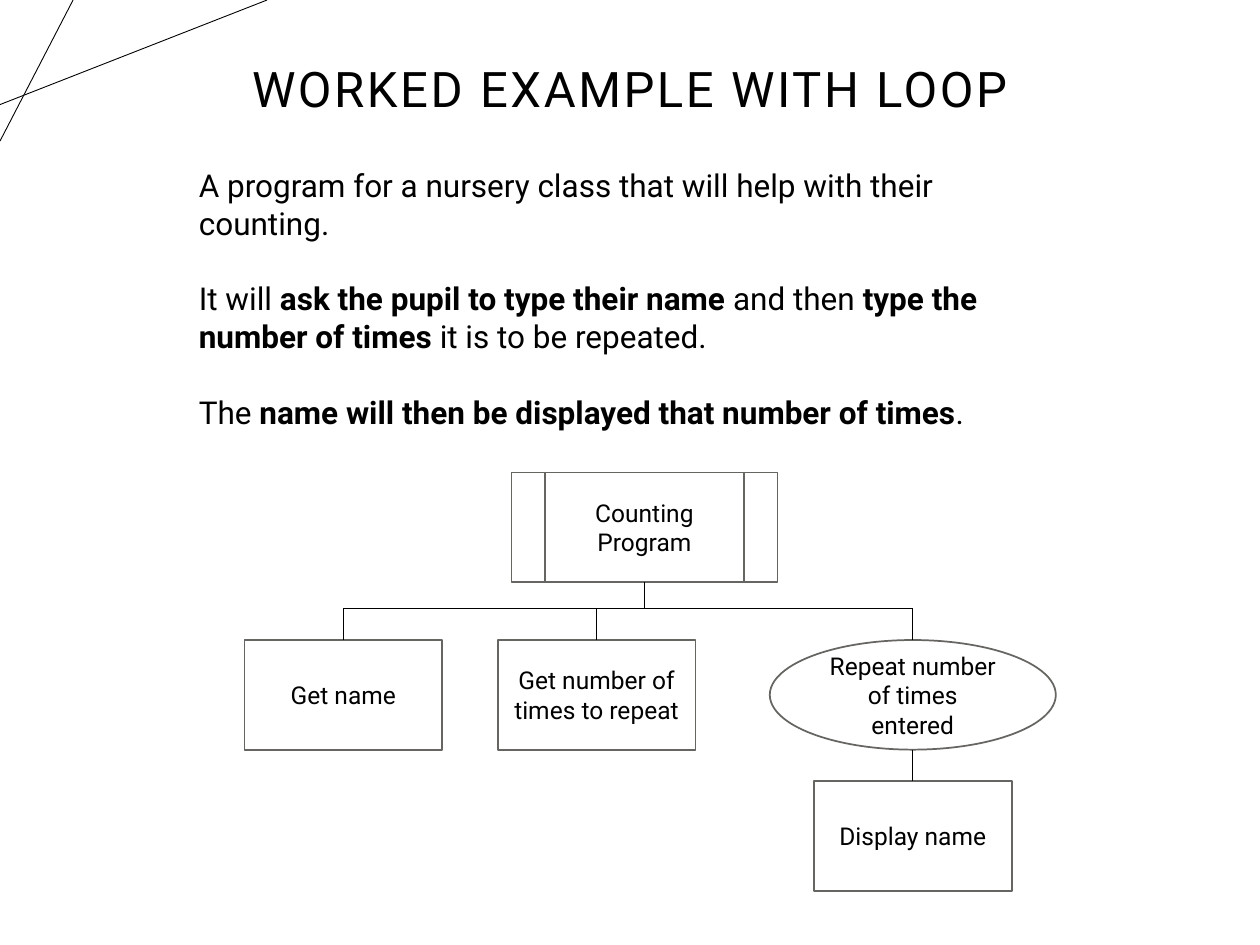
import pptx
import pptx.dml.color
import pptx.enum.shapes
import pptx.enum.text
import pptx.oxml
import pptx.oxml.ns
import pptx.util
from dataclasses import dataclass

Inches = pptx.util.Inches
Pt = pptx.util.Pt
RGBColor = pptx.dml.color.RGBColor
Shape = pptx.enum.shapes.MSO_SHAPE
Align = pptx.enum.text.PP_ALIGN
Anchor = pptx.enum.text.MSO_ANCHOR


@dataclass(frozen=True)
class Theme:
    font: str = "Roboto"
    ink: RGBColor = RGBColor(0, 0, 0)
    paper: RGBColor = RGBColor(255, 255, 255)
    outline: RGBColor = RGBColor(0x66, 0x65, 0x62)
    title_size: int = 28
    body_size: int = 18
    label_size: int = 14


theme = Theme()

presentation = pptx.Presentation()
presentation.slide_width = Inches(10)
presentation.slide_height = Inches(7.5)
slide = presentation.slides.add_slide(presentation.slide_layouts[5])
slide.background.fill.solid()
slide.background.fill.fore_color.rgb = theme.paper


def style_font(font, size):
    font.name = theme.font
    font.size = Pt(size)
    font.color.rgb = theme.ink


def add_line(x1, y1, x2, y2):
    """Draw a thin straight line without a shadow."""
    line = slide.shapes.add_connector(
        pptx.enum.shapes.MSO_CONNECTOR.STRAIGHT,
        Inches(x1), Inches(y1), Inches(x2), Inches(y2))
    line.line.color.rgb = theme.ink
    line.line.width = Pt(0.5)
    properties = line._element.spPr
    properties.append(properties.makeelement(pptx.oxml.ns.qn("a:effectLst"), {}))
    return line


# Corner decoration
add_line(0, 0.83, 2.12, 0)
add_line(0.58, 0, 0, 1.12)

# Title
title = slide.shapes.title
title.left, title.top = Inches(0.69), Inches(0)
title.width, title.height = Inches(8.62), Inches(1.45)
title.text_frame.text = "WORKED EXAMPLE WITH LOOP"
title.text_frame.auto_size = pptx.enum.text.MSO_AUTO_SIZE.NONE
title.text_frame.vertical_anchor = Anchor.MIDDLE
paragraph = title.text_frame.paragraphs[0]
paragraph.alignment = Align.CENTER
paragraph.line_spacing = 0.9
style_font(paragraph.runs[0].font, theme.title_size)
paragraph.runs[0].font._element.set("spc", "150")

# Program description: (text, bold) runs in each paragraph
description = [
    [("A program for a nursery class that will help with their counting.", False)],
    [("It will ", False), ("ask the pupil to type their name", True),
     (" and then ", False), ("type the number of times ", True),
     ("it is to be repeated.", False)],
    [("The ", False), ("name will then be displayed that number of times", True),
     (".", False)],
]
text_box = slide.shapes.add_textbox(
    Inches(1.48), Inches(1.27), Inches(7.03), Inches(2.28))
text_box.text_frame.word_wrap = True
for index, parts in enumerate(description):
    if index == 0:
        paragraph = text_box.text_frame.paragraphs[0]
    else:
        paragraph = text_box.text_frame.add_paragraph()
        paragraph.space_before = Pt(21.5)
    for text, bold in parts:
        run = paragraph.add_run()
        run.text = text
        style_font(run.font, theme.body_size)
        run.font.bold = bold

# Structure diagram
box_width, box_height = 1.57, 0.87
program_top, step_top, action_top = 3.75, 5.08, 6.2
branch_y = 4.83
nodes = [
    ("Counting Program", Shape.FLOWCHART_PREDEFINED_PROCESS, 4.06, program_top, 2.11),
    ("Get name", Shape.FLOWCHART_PROCESS, 1.94, step_top, box_width),
    ("Get number of times to repeat", Shape.FLOWCHART_PROCESS, 3.95, step_top, box_width),
    ("Repeat number of times entered", Shape.FLOWCHART_CONNECTOR, 6.11, step_top, 2.27),
    ("Display name", Shape.FLOWCHART_PROCESS, 6.46, action_top, box_width),
]
shapes, centers = [], []
for label, kind, left, top, width in nodes:
    shape = slide.shapes.add_shape(
        kind, Inches(left), Inches(top), Inches(width), Inches(box_height))
    shape.shadow.inherit = False
    shape.fill.solid()
    shape.fill.fore_color.rgb = theme.paper
    shape.line.color.rgb = theme.outline
    shape.line.width = Pt(1)
    shape.text_frame.text = label
    shape.text_frame.word_wrap = True
    shape.text_frame.vertical_anchor = Anchor.MIDDLE
    paragraph = shape.text_frame.paragraphs[0]
    paragraph.alignment = Align.CENTER
    style_font(paragraph.runs[0].font, theme.label_size)
    shapes.append(shape)
    centers.append(left + width / 2)

program, *steps, action = shapes
program_x, *step_centers, action_x = centers

add_line(step_centers[0], branch_y, step_centers[-1], branch_y)
trunk = add_line(program_x, program_top + box_height, program_x, branch_y)
trunk.begin_connect(program, 2)
for step, center in zip(steps, step_centers):
    drop = add_line(center, branch_y, center, step_top)
    drop.end_connect(step, 0)
action_link = add_line(action_x, step_top + box_height, action_x, action_top)
action_link.end_connect(action, 0)

presentation.save("out.pptx")
